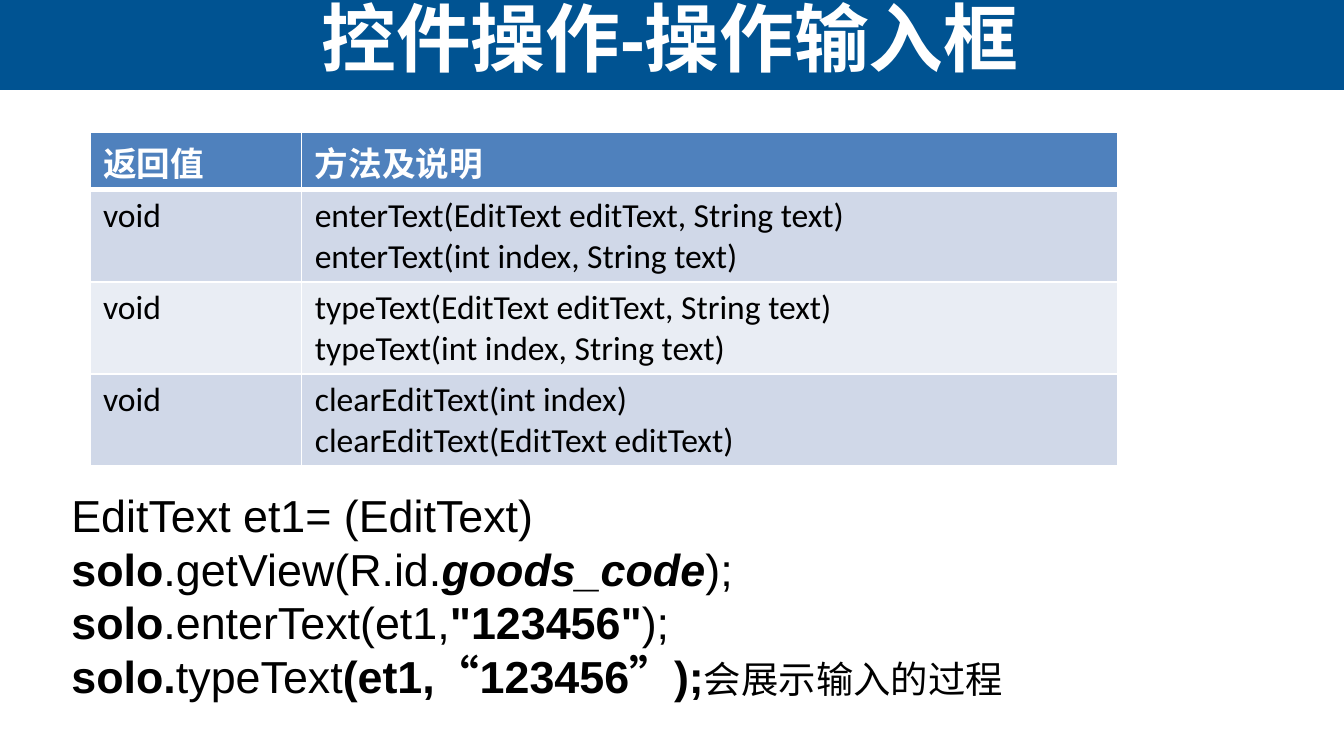
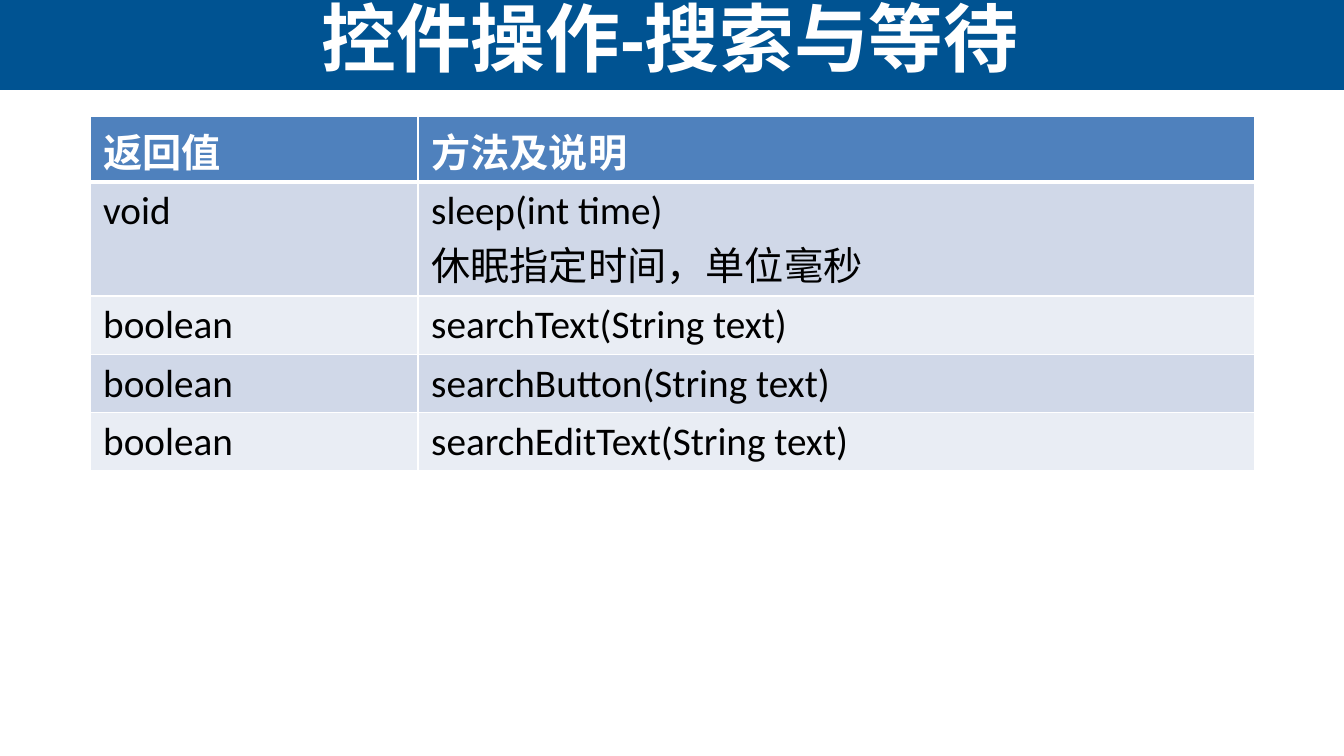
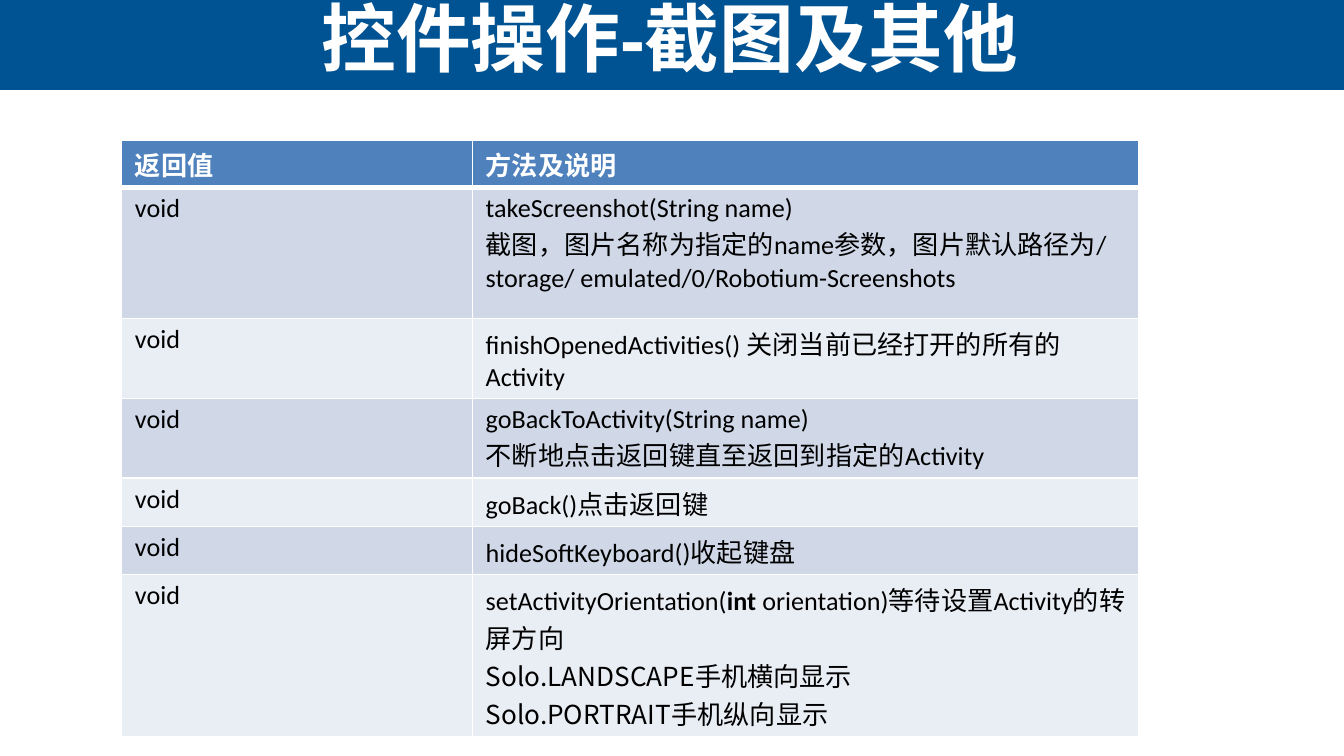
from dataclasses import dataclass

from lxml import etree
from pptx import Presentation
from pptx.dml.color import RGBColor
from pptx.enum.shapes import MSO_SHAPE
from pptx.enum.text import MSO_ANCHOR, MSO_AUTO_SIZE, PP_ALIGN
from pptx.oxml.ns import qn
from pptx.util import Cm, Pt

RECTANGLE = MSO_SHAPE.RECTANGLE
MIDDLE = MSO_ANCHOR.MIDDLE
FIT_SHAPE = MSO_AUTO_SIZE.SHAPE_TO_FIT_TEXT
CENTER = PP_ALIGN.CENTER


@dataclass(frozen=True)
class Theme:
    band: str = "005392"
    header: str = "4F81BD"
    odd_row: str = "D0D8E8"
    even_row: str = "E9EDF4"
    light: str = "FFFFFF"
    dark: str = "000000"
    title_font: str = "Arial"
    table_font: str = "Calibri"
    chinese_font: str = "Noto Sans CJK SC"
    title_size: int = 40
    code_size: int = 24
    remark_size: int = 20
    rule: int = 1
    header_rule: int = 3


THEME = Theme()


@dataclass(frozen=True)
class Piece:
    """A stretch of text; size and font override those of its surroundings."""
    text: str
    bold: bool = False
    italic: bool = False
    size: int = 0
    font: str = ""


BREAK = Piece("\n")
HEADINGS = ("返回值", "方法及说明")


def format_run(run, font, size, color, bold=False, italic=False):
    run.font.name = font
    run.font.size = Pt(size)
    run.font.bold = bold
    run.font.italic = italic
    run.font.color.rgb = RGBColor.from_string(color)
    east_asian = etree.SubElement(run.font._element, qn("a:ea"))
    east_asian.set("typeface", THEME.chinese_font)


def write_lines(text_frame, lines, font, size, color, bold=False):
    """Write one paragraph per line; a line is a string or a list of pieces."""
    for index, line in enumerate(lines):
        paragraph = text_frame.paragraphs[0] if index == 0 else text_frame.add_paragraph()
        pieces = [Piece(line, bold)] if isinstance(line, str) else line
        for piece in pieces:
            if piece is BREAK:
                paragraph.add_line_break()
                continue
            run = paragraph.add_run()
            run.text = piece.text
            format_run(run, piece.font or font, piece.size or size, color,
                       piece.bold, piece.italic)


def add_titled_slide(presentation, title):
    slide = presentation.slides.add_slide(presentation.slide_layouts[6])
    band = slide.shapes.add_shape(RECTANGLE, 0, 0, presentation.slide_width, Cm(1.7))
    band.shadow.inherit = False
    band.fill.solid()
    band.fill.fore_color.rgb = RGBColor.from_string(THEME.band)
    band.line.fill.background()

    box = slide.shapes.add_textbox(Cm(-0.08), Cm(-0.33), Cm(25.48), Cm(2.03))
    text_frame = box.text_frame
    text_frame.word_wrap = True
    text_frame.vertical_anchor = MIDDLE
    write_lines(text_frame, [title], THEME.title_font, THEME.title_size, THEME.light, True)
    text_frame.paragraphs[0].alignment = CENTER
    return slide


def set_borders(cell, top, bottom):
    properties = cell._tc.get_or_add_tcPr()
    widths = {"a:lnL": THEME.rule, "a:lnR": THEME.rule, "a:lnT": top, "a:lnB": bottom}
    for tag, width in widths.items():
        line = etree.SubElement(properties, qn(tag), w=str(Pt(width)))
        fill = etree.SubElement(line, qn("a:solidFill"))
        etree.SubElement(fill, qn("a:srgbClr"), val=THEME.light)


def fill_cell(cell, lines, row_index, size):
    is_header = row_index == 0
    set_borders(cell,
                top=THEME.header_rule if row_index == 1 else THEME.rule,
                bottom=THEME.header_rule if is_header else THEME.rule)
    background = THEME.odd_row if row_index % 2 else THEME.even_row
    cell.fill.solid()
    cell.fill.fore_color.rgb = RGBColor.from_string(THEME.header if is_header else background)
    cell.margin_left = cell.margin_right = Cm(0.25)
    cell.margin_top = cell.margin_bottom = Cm(0.1)
    write_lines(cell.text_frame, lines, THEME.table_font, size,
                THEME.light if is_header else THEME.dark, is_header)


def add_method_table(slide, left, top, widths, heights, size, methods):
    """Add a table of (return type, description lines) under the shared headings."""
    rows = [(HEADINGS[0], [HEADINGS[1]]), *methods]
    table = slide.shapes.add_table(len(rows), len(widths), Cm(left), Cm(top),
                                   Cm(sum(widths)), Cm(sum(heights))).table
    for column, width in zip(table.columns, widths):
        column.width = Cm(width)
    for row, height in zip(table.rows, heights):
        row.height = Cm(height)
    for row_index, (return_type, description) in enumerate(rows):
        fill_cell(table.cell(row_index, 0), [return_type], row_index, size)
        fill_cell(table.cell(row_index, 1), description, row_index, size)


def add_code(slide, left, top, width, height, lines):
    box = slide.shapes.add_textbox(Cm(left), Cm(top), Cm(width), Cm(height))
    box.text_frame.word_wrap = True
    box.text_frame.auto_size = FIT_SHAPE
    write_lines(box.text_frame, lines, THEME.title_font, THEME.code_size, THEME.dark)


def build_input_slide(presentation):
    slide = add_titled_slide(presentation, "控件操作-操作输入框")
    add_method_table(slide, 1.7, 2.5, (4.0, 15.42), (1.09, 1.74, 1.74, 1.74), 18, [
        ("void", ["enterText(EditText editText, String text)",
                  "enterText(int index, String text)"]),
        ("void", ["typeText(EditText editText, String text)",
                  "typeText(int index, String text)"]),
        ("void", ["clearEditText(int index)", "clearEditText(EditText editText)"]),
    ])
    add_code(slide, 1.1, 9.09, 21.79, 4.37, [
        [Piece("EditText et1= (EditText) "), Piece("solo", bold=True),
         Piece(".getView(R.id."), Piece("goods_code", bold=True, italic=True),
         Piece(");"), BREAK, Piece("solo", bold=True), Piece(".enterText(et1,"),
         Piece('"123456"', bold=True), Piece(");")],
        [Piece("solo.", bold=True), Piece("typeText"),
         Piece("(et1,“123456”);", bold=True),
         Piece("会展示输入的过程", size=THEME.remark_size)],
    ])


def build_search_slide(presentation):
    slide = add_titled_slide(presentation, "控件操作-搜索与等待")
    add_method_table(slide, 1.7, 2.2, (6.2, 15.82), (1.24, 2.16, 1.1, 1.1, 1.1), 21, [
        ("void", ["sleep(int time)", "休眠指定时间，单位毫秒"]),
        ("boolean", ["searchText(String text)"]),
        ("boolean", ["searchButton(String text)"]),
        ("boolean", ["searchEditText(String text)"]),
    ])


def build_screenshot_slide(presentation):
    slide = add_titled_slide(presentation, "控件操作-截图及其他")
    heights = (0.89, 2.48, 1.51, 1.51, 0.91, 0.91, 3.06)
    add_method_table(slide, 2.3, 2.65, (6.63, 12.6), heights, 14, [
        ("void", ["takeScreenshot(String name)",
                  "截图，图片名称为指定的name参数，图片默认路径为"
                  "/storage/ emulated/0/Robotium-Screenshots"]),
        ("void", ["finishOpenedActivities() 关闭当前已经打开的所有的Activity"]),
        ("void", ["goBackToActivity(String name)",
                  "不断地点击返回键直至返回到指定的Activity"]),
        ("void", ["goBack()点击返回键"]),
        ("void", ["hideSoftKeyboard()收起键盘"]),
        ("void", [
            [Piece("setActivityOrientation("), Piece("int ", bold=True),
             Piece("orientation)等待设置Activity的转屏方向")],
            [Piece("Solo.LANDSCAPE手机横向显示", font=THEME.chinese_font)],
            [Piece("Solo.PORTRAIT手机纵向显示", font=THEME.chinese_font)],
        ]),
    ])


def main():
    presentation = Presentation()
    presentation.slide_width = Cm(25.4)
    presentation.slide_height = Cm(14.29)
    build_input_slide(presentation)
    build_search_slide(presentation)
    build_screenshot_slide(presentation)
    presentation.save("out.pptx")


if __name__ == "__main__":
    main()
